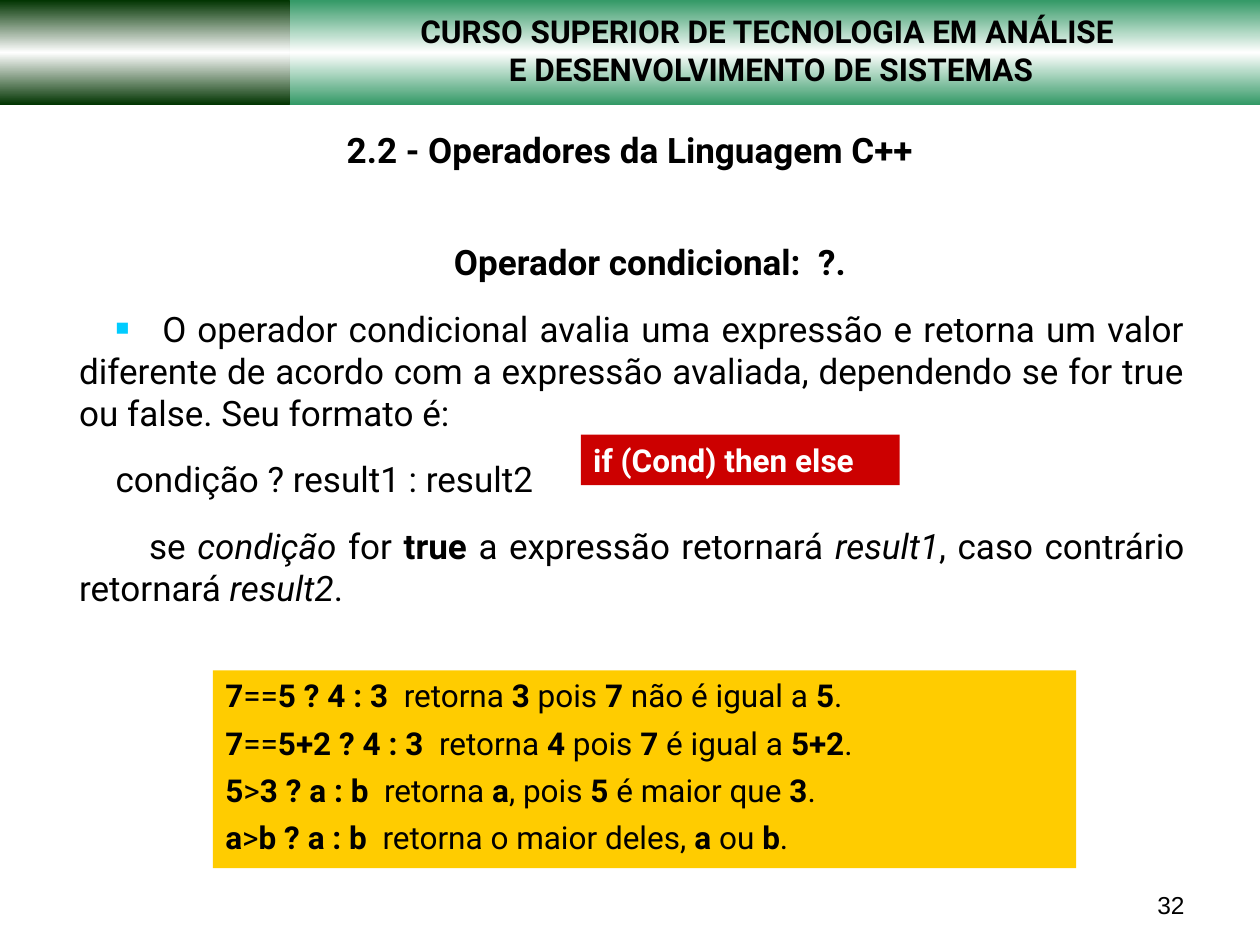
"""Build the slide on the C++ conditional operator."""
from copy import deepcopy
from dataclasses import dataclass

from lxml import etree
from pptx import Presentation
from pptx.dml.color import RGBColor
from pptx.enum.shapes import MSO_SHAPE
from pptx.enum.text import MSO_ANCHOR, PP_ALIGN
from pptx.oxml.ns import qn
from pptx.util import Pt

RECT = MSO_SHAPE.RECTANGLE
TOP, MIDDLE, BOTTOM = MSO_ANCHOR.TOP, MSO_ANCHOR.MIDDLE, MSO_ANCHOR.BOTTOM
LEFT, CENTER = PP_ALIGN.LEFT, PP_ALIGN.CENTER
RIGHT, JUSTIFY = PP_ALIGN.RIGHT, PP_ALIGN.JUSTIFY


@dataclass(frozen=True)
class Theme:
    font: str = "Roboto"
    number_font: str = "Arial"
    black: str = "000000"
    white: str = "FFFFFF"
    green: str = "339966"
    dark_green: str = "003300"
    yellow: str = "FFCC00"
    red: str = "CC0000"
    bullet: str = "00CCFF"
    body: int = 20
    label: int = 18
    number: int = 14


THEME = Theme()

HEADER = ["*CURSO SUPERIOR DE TECNOLOGIA EM ANÁLISE *",
          "*E DESENVOLVIMENTO DE SISTEMAS*"]
BODY = [
    (CENTER, 20.88, "*Operador condicional:  ?.*"),
    (JUSTIFY, 20.88, "\tO operador condicional avalia uma expressão e retorna um valor "
     "diferente de acordo com a expressão avaliada, dependendo se for true "
     "ou false. Seu formato é: "),
    (JUSTIFY, 20.88, "condição ? result1 : result2"),
    (JUSTIFY, 40, "se _condição_ for *true* a expressão retornará _result1_, "
     "caso contrário retornará _result2_."),
]
EXAMPLES = [
    "*7*==*5 ? 4 : 3*  retorna *3* pois *7* não é igual a *5*.",
    "*7*==*5+2 ? 4 : 3*  retorna *4* pois *7* é igual a *5+2*.",
    "*5*>*3 ? a : b*  retorna *a*, pois *5* é maior que *3*.",
    "*a*>*b ? a : b*  retorna o maior deles, *a* ou *b*.",
]


def set_attrs(obj, values):
    for name, value in values.items():
        setattr(obj, name, value)


def add_runs(p, text, size, color, font):
    for i, part in enumerate(text.split("*")):
        for j, piece in enumerate(part.split("_")):
            if piece:
                r = p.add_run()
                r.text = piece
                set_attrs(r.font, {"name": font, "size": Pt(size),
                                   "bold": i % 2 == 1, "italic": j % 2 == 1})
                r.font.color.rgb = RGBColor.from_string(color)


def write(s, lines, size, align, anchor=TOP, color=THEME.black,
          font=THEME.font, before=0):
    tf = s.text_frame
    set_attrs(tf, {"word_wrap": True, "vertical_anchor": anchor})
    for i, text in enumerate(lines):
        p = tf.add_paragraph() if i else tf.paragraphs[0]
        set_attrs(p, {"alignment": align, "space_before": Pt(before)})
        add_runs(p, text, size, color, font)
    return tf


def add_text(sp, box, lines, size, align, **options):
    s = sp.add_textbox(*map(Pt, box))
    return write(s, lines, size, align, **options)


def add_box(sp, box):
    s = sp.add_shape(RECT, *map(Pt, box))
    s.shadow.inherit = False
    s.line.fill.background()
    return s


def add_panel(sp, box, fill):
    s = add_box(sp, box)
    s.fill.solid()
    s.fill.fore_color.rgb = RGBColor.from_string(fill)
    return s


def add_band(sp, box, edge):
    s = add_box(sp, box)
    s.fill.gradient()
    s.fill.gradient_angle = 90
    for stop, pos, color in zip(s.fill.gradient_stops, (0, 0.5), (edge, THEME.white)):
        stop.position = pos
        stop.color.rgb = RGBColor.from_string(color)
    stops = s.element.spPr.find(".//" + qn("a:gsLst"))
    last = deepcopy(stops[0])
    last.set("pos", "100000")
    stops.append(last)


def add_bullet(p, char, color, percent, text_at):
    pPr = p._p.get_or_add_pPr()
    clr = etree.SubElement(pPr, qn("a:buClr"))
    etree.SubElement(clr, qn("a:srgbClr"), val=color)
    etree.SubElement(pPr, qn("a:buSzPct"), val=str(percent * 1000))
    etree.SubElement(pPr, qn("a:buFont"), typeface=THEME.number_font)
    etree.SubElement(pPr, qn("a:buChar"), char=char)
    tabs = etree.SubElement(pPr, qn("a:tabLst"))
    etree.SubElement(tabs, qn("a:tab"), pos=str(Pt(text_at)), algn="l")


def add_body(sp):
    tf = add_text(sp, (30.96, 133.92, 653.04, 324), [text for _, _, text in BODY],
                  THEME.body, JUSTIFY, before=4)
    for p, (align, indent, _) in zip(tf.paragraphs, BODY):
        set_attrs(p, {"alignment": align, "space_after": Pt(10)})
        pPr = p._p.get_or_add_pPr()
        pPr.set("marL", str(Pt(7.2)))
        pPr.set("indent", str(Pt(indent)))
    add_bullet(tf.paragraphs[1], "■", THEME.bullet, 65, 54.7)


def main():
    prs = Presentation()
    set_attrs(prs, {"slide_width": Pt(720), "slide_height": Pt(540)})
    sp = prs.slides.add_slide(prs.slide_layouts[6]).shapes

    add_band(sp, (0, 0, 720, 60), THEME.green)
    add_text(sp, (161.28, 3.6, 558.72, 50.4), HEADER, THEME.label, CENTER)
    add_band(sp, (0, 0, 165.6, 60), THEME.dark_green)
    add_text(sp, (516.24, 491.76, 167.76, 37.44), ["32"], THEME.number, RIGHT,
             anchor=BOTTOM, font=THEME.number_font)
    add_text(sp, (36, 31.68, 648, 108), ["*2.2 - Operadores da Linguagem C++*"],
             THEME.body, CENTER, anchor=MIDDLE)
    add_body(sp)
    write(add_panel(sp, (121.68, 383.04, 493.2, 113.04), THEME.yellow),
          EXAMPLES, THEME.label, JUSTIFY, before=5.4)
    write(add_panel(sp, (331.92, 248.4, 182.16, 28.8), THEME.red),
          ["*if (Cond) then else*"], THEME.label, LEFT, color=THEME.white)
    prs.save("out.pptx")


if __name__ == "__main__":
    main()
